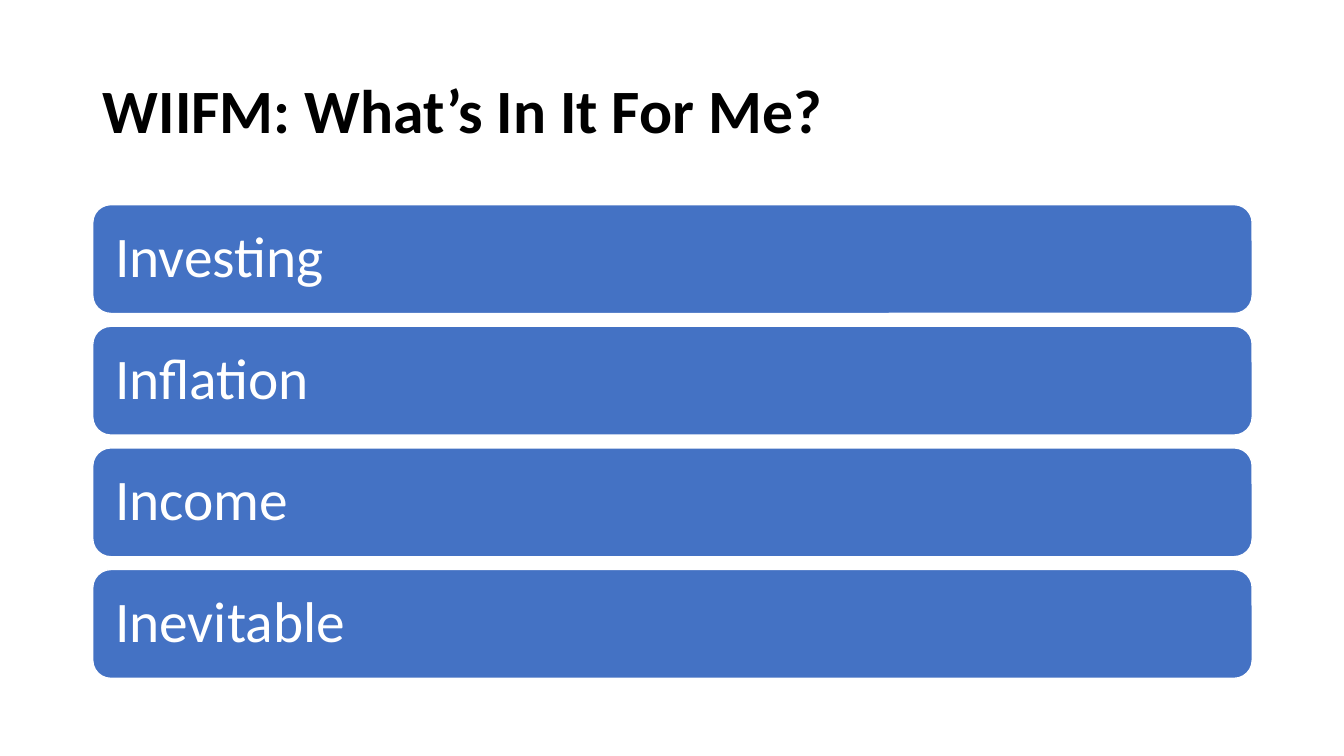
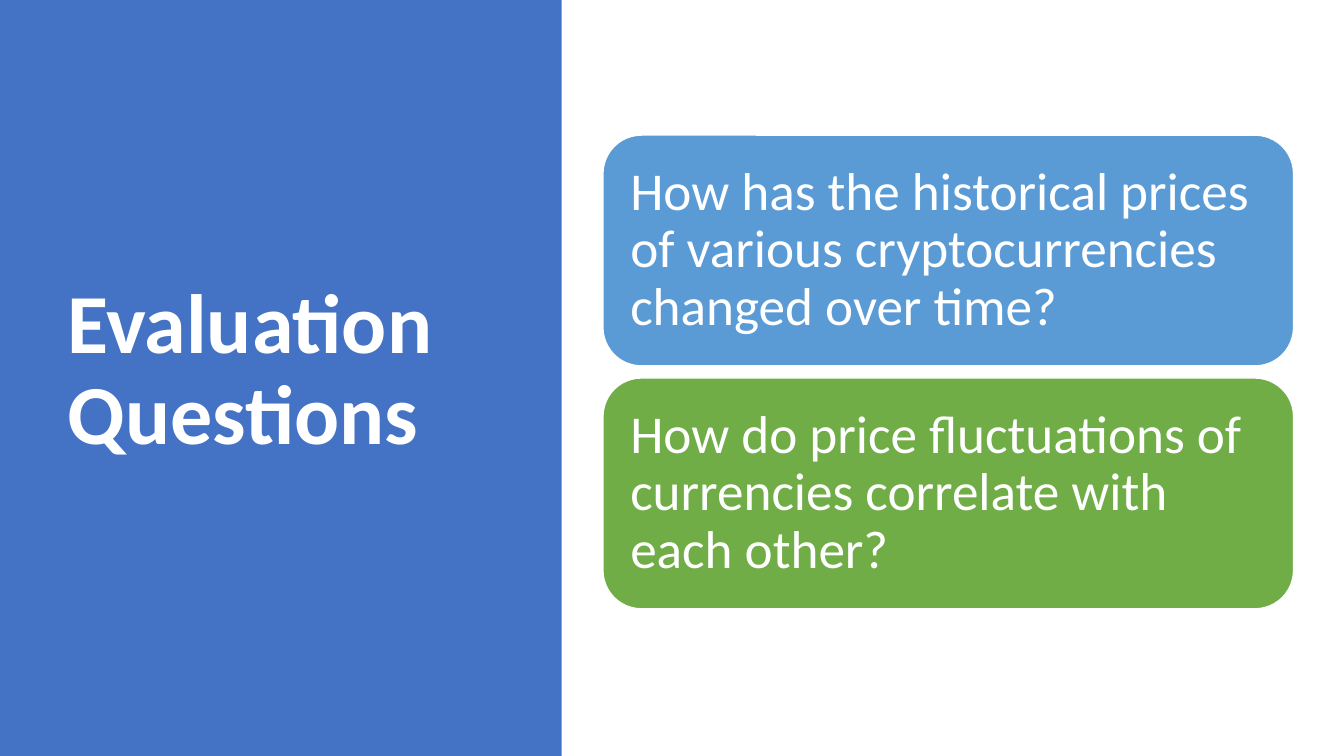
from pptx import Presentation
from pptx import util as u
from pptx.dml.color import RGBColor
from pptx.enum import shapes, text

FONT = "Calibri"
BLUE, SKY, GREEN = "4472C4", "5B9BD5", "70AD47"
WHITE, BLACK = "FFFFFF", "000000"
STACK_HEIGHT = 4.7


def color(value):
    """Turn a hex string into a colour."""
    return RGBColor.from_string(value)


def write(frame, words, size, ink=WHITE, bold=False, inset=0.1):
    """Write one left-aligned, vertically centred paragraph."""
    frame.word_wrap = True
    frame.auto_size = text.MSO_AUTO_SIZE.NONE
    frame.vertical_anchor = text.MSO_ANCHOR.MIDDLE
    frame.margin_left = frame.margin_right = u.Inches(inset)
    frame.margin_top = frame.margin_bottom = u.Inches(inset)
    paragraph = frame.paragraphs[0]
    paragraph.alignment = text.PP_ALIGN.LEFT
    paragraph.line_spacing = 0.9
    run = paragraph.add_run()
    run.text = words
    run.font.name = FONT
    run.font.size = u.Pt(size)
    run.font.bold = bold
    run.font.color.rgb = color(ink)


def add_block(slide, kind, box, fill, outline=None):
    """Add a flat filled shape with an optional outline."""
    block = slide.shapes.add_shape(kind, *map(u.Inches, box))
    block.shadow.inherit = False
    block.fill.solid()
    block.fill.fore_color.rgb = color(fill)
    if outline:
        block.line.color.rgb = color(outline)
        block.line.width = u.Pt(1)
    else:
        block.line.fill.background()
    return block


def add_title(slide, words, box, size, ink):
    """Place and format the title in front of what is already drawn."""
    title = slide.shapes.title
    title.left, title.top, title.width, title.height = map(u.Inches, box)
    write(title.text_frame, words, size, ink, bold=True)
    slide.shapes._spTree.append(title._element)


def add_stack(slide, cards, left, top, width, height, size, inset):
    """Spread rounded cards evenly over the stack height."""
    gap = (STACK_HEIGHT - len(cards) * height) / (len(cards) - 1)
    for row, (words, fill) in enumerate(cards):
        box = (left, top + row * (height + gap), width, height)
        card = add_block(slide, shapes.MSO_SHAPE.ROUNDED_RECTANGLE, box, fill, WHITE)
        write(card.text_frame, words, size, inset=inset)


def build_benefits(slide):
    """Build the slide of four reasons."""
    add_title(slide, "WIIFM: What’s In It For Me?", (0.92, 0.4, 11.5, 1.45), 44, BLACK)
    reasons = ("Investing", "Inflation", "Income", "Inevitable")
    cards = [(reason, BLUE) for reason in reasons]
    add_stack(slide, cards, 0.92, 2.03, 11.5, 1.08, size=41, inset=0.17)


def build_questions(slide):
    """Build the slide of evaluation questions beside a side panel."""
    add_block(slide, shapes.MSO_SHAPE.RECTANGLE, (0, 0, 5.57, 7.5), BLUE)
    add_title(slide, "Evaluation Questions", (0.57, 0.68, 4.16, 6.02), 60, WHITE)
    cards = [
        ("How has the historical prices of various cryptocurrencies changed over time?", SKY),
        ("How do price fluctuations of currencies correlate with each other?", GREEN),
    ]
    add_stack(slide, cards, 5.98, 1.34, 6.85, 2.29, size=38, inset=0.16)


def main():
    """Build and save the presentation."""
    deck = Presentation()
    deck.slide_width, deck.slide_height = u.Inches(13.33), u.Inches(7.5)
    title_only = deck.slide_layouts[5]
    for build in (build_benefits, build_questions):
        build(deck.slides.add_slide(title_only))
    deck.save("out.pptx")


if __name__ == "__main__":
    main()
